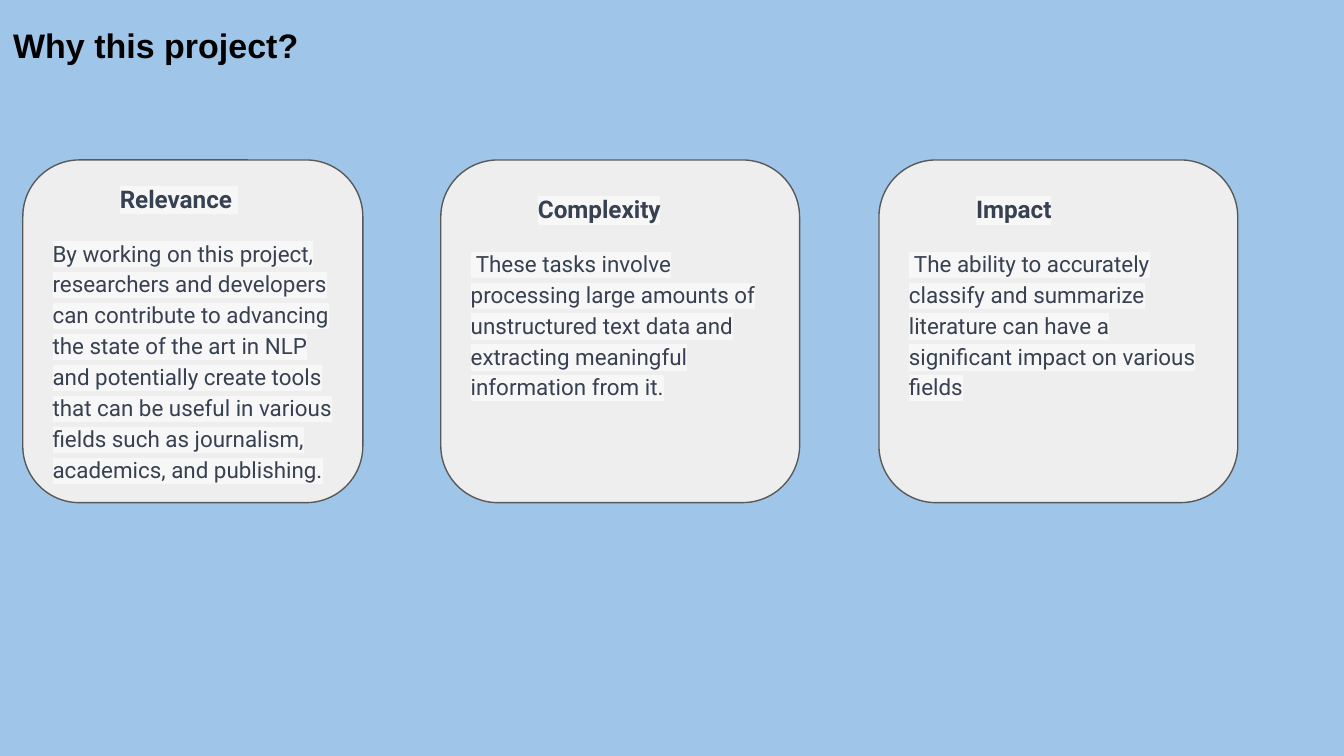
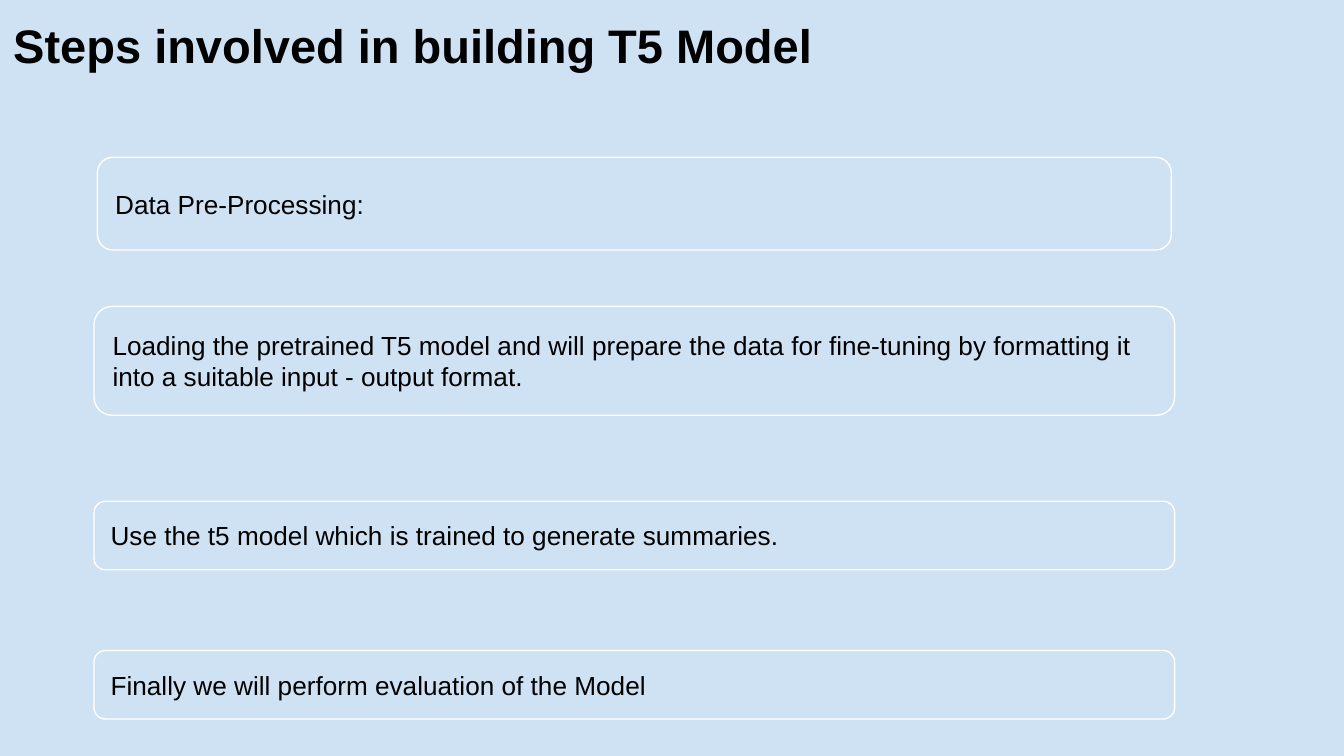
from lxml.etree import SubElement
from pptx import Presentation
from pptx.dml.color import RGBColor
from pptx.enum.shapes import MSO_SHAPE as Shape
from pptx.enum.text import MSO_ANCHOR as Anchor, PP_ALIGN as Align
from pptx.oxml.ns import qn
from pptx.util import Inches, Pt

WIDTH, HEIGHT = 10, 10 * 9 / 16
SKY, PALE_BLUE = "9FC5E8", "CFE2F3"
CARD_FILL, CARD_LINE = "EEEEEE", "595959"
SLATE, HIGHLIGHT = "374151", "F7F7F8"
BLACK, WHITE = "000000", "FFFFFF"

CARD_TOP, CARD_HEIGHT = 1.19, 2.55
# left, width, anchor, heading, body, body size
REASONS = [
    (0.17, 2.53, Anchor.MIDDLE, "Relevance ",
     "By working on this project, researchers and developers can contribute to "
     "advancing the state of the art in NLP and potentially create tools that can be "
     "useful in various fields such as journalism, academics, and publishing."),
    (3.28, 2.67, Anchor.TOP, "Complexity",
     " These tasks involve processing large amounts of unstructured text data and "
     "extracting meaningful information from it."),
    (6.54, 2.67, Anchor.TOP, "Impact",
     " The ability to accurately classify and summarize literature can have a "
     "significant impact on various fields"),
]

STEP_CENTER = 4.72
# top, width, height, text
STEPS = [
    (1.17, 7.99, 0.69, "Data Pre-Processing:"),
    (2.28, 8.04, 0.81,
     "Loading the pretrained T5 model and will prepare the data for fine-tuning by "
     "formatting it into a suitable input - output format."),
    (3.73, 8.04, 0.51, "Use the t5 model which is trained to generate summaries."),
    (4.84, 8.04, 0.51, "Finally we will perform evaluation of the Model"),
]


def color(value):
    return RGBColor.from_string(value)


def format_text(paragraph, size, font="Arial", ink=BLACK, bold=False):
    paragraph.alignment = Align.LEFT
    for run in paragraph.runs:
        run.font.size = Pt(size)
        run.font.bold = bold
        run.font.color.rgb = color(ink)
        run.font.name = font


def highlight(paragraph):
    """Put the pale marker colour behind every run; it must follow the text fill."""
    for run in paragraph.runs:
        properties = run.font._element
        marker = SubElement(properties, qn("a:highlight"))
        SubElement(marker, qn("a:srgbClr"), val=HIGHLIGHT)
        properties.find(qn("a:solidFill")).addnext(marker)


def prepare_frame(shape, anchor):
    frame = shape.text_frame
    frame.word_wrap = True
    frame.vertical_anchor = anchor
    frame.margin_left = frame.margin_right = Inches(0.1)
    frame.margin_top = frame.margin_bottom = Inches(0.1)
    return frame


def add_slide(presentation, background, title, top, width, height, size):
    slide = presentation.slides.add_slide(presentation.slide_layouts[6])
    slide.background.fill.solid()
    slide.background.fill.fore_color.rgb = color(background)
    box = slide.shapes.add_textbox(0, Inches(top), Inches(width), Inches(height))
    frame = prepare_frame(box, Anchor.TOP)
    frame.text = title
    format_text(frame.paragraphs[0], size, bold=True)
    return slide


def add_panel(slide, left, top, width, height, fill, line, anchor):
    """Add a rounded, outlined panel and return its text frame."""
    panel = slide.shapes.add_shape(
        Shape.ROUNDED_RECTANGLE, *map(Inches, (left, top, width, height)))
    panel.adjustments[0] = 1 / 6
    panel.shadow.inherit = False
    panel.fill.solid()
    panel.fill.fore_color.rgb = color(fill)
    panel.line.color.rgb = color(line)
    panel.line.width = Pt(0.75)
    return prepare_frame(panel, anchor)


def build_reasons(presentation):
    slide = add_slide(presentation, SKY, "Why this project?", 0.08, 9.37, 0.76, 18.2)
    for left, width, anchor, heading, body in REASONS:
        frame = add_panel(slide, left, CARD_TOP, width, CARD_HEIGHT,
                          CARD_FILL, CARD_LINE, anchor)
        frame.text = f"{heading}\n{body}"
        head, text = frame.paragraphs
        format_text(head, 13, "Roboto", SLATE, bold=True)
        format_text(text, 12, "Roboto", SLATE)
        head._p.get_or_add_pPr().set("indent", str(Inches(0.5)))
        text.space_before = text.space_after = Pt(12)
        for paragraph in (head, text):
            paragraph.line_spacing = 1.15
            highlight(paragraph)


def build_steps(presentation):
    slide = add_slide(presentation, PALE_BLUE, "Steps involved in building T5 Model",
                      0.02, 9.32, 0.59, 25.2)
    for top, width, height, step in STEPS:
        frame = add_panel(slide, STEP_CENTER - width / 2, top, width, height,
                          PALE_BLUE, WHITE, Anchor.MIDDLE)
        frame.text = step
        format_text(frame.paragraphs[0], 14)


def main():
    presentation = Presentation()
    presentation.slide_width = Inches(WIDTH)
    presentation.slide_height = Inches(HEIGHT)
    build_reasons(presentation)
    build_steps(presentation)
    presentation.save("out.pptx")


if __name__ == "__main__":
    main()
